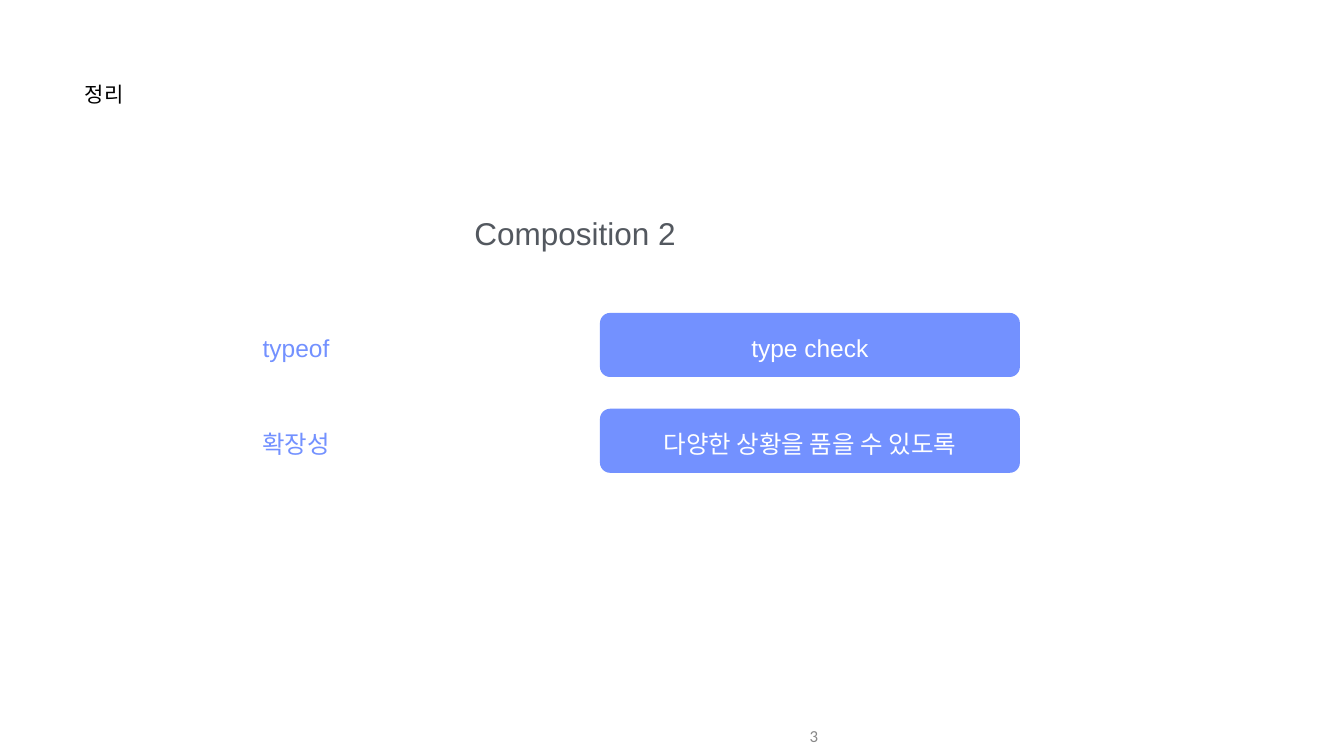
from pptx import Presentation
from pptx.dml.color import RGBColor as RGB
from pptx.enum.shapes import MSO_SHAPE as Shape
from pptx.enum.text import MSO_ANCHOR as Anchor, MSO_AUTO_SIZE as Auto, PP_ALIGN as Align
from pptx.util import Cm, Pt

COLORS = {"black": "000000", "gray": "53585F", "pale": "888888",
          "blue": "7391FF", "white": "FFFFFF"}


def place(shape, left, top, width, height):
    shape.left, shape.top = Cm(left), Cm(top)
    shape.width, shape.height = Cm(width), Cm(height)


def write(shape, text, size, color, align=Align.CENTER, anchor=Anchor.MIDDLE,
          font="Arial", inset=0.03):
    frame = shape.text_frame
    frame.word_wrap = True
    frame.auto_size = Auto.NONE
    frame.vertical_anchor = anchor
    frame.margin_left = frame.margin_right = Cm(inset)
    frame.margin_top = frame.margin_bottom = Cm(inset)
    frame.text = text
    par = frame.paragraphs[0]
    par.alignment = align
    par.font.name = font
    par.font.size = Pt(size)
    par.font.color.rgb = RGB.from_string(COLORS[color])


deck = Presentation()
deck.slide_width, deck.slide_height = Cm(67.72), Cm(38.1)
slide = deck.slides.add_slide(deck.slide_layouts[5])
shapes = slide.shapes

title = shapes.title
place(title, 4.24, 4.06, 12.34, 3)
write(title, "정리", 30, "black", Align.LEFT, Anchor.TOP)

topic = shapes.add_textbox(Cm(6.7), Cm(10.77), Cm(44.55), Cm(2))
write(topic, "Composition 2", 45, "gray", anchor=Anchor.TOP)

number = shapes.add_textbox(Cm(26.24), Cm(36.1), Cm(15.24), Cm(2))
write(number, "3", 24, "pale", Align.RIGHT, font="Calibri", inset=0.25)

rows = [("typeof", "type check"),
        ("확장성", "다양한 상황을 품을 수 있도록")]
for i, (term, note) in enumerate(rows):
    top = 15.77 + i * 4.83

    label = shapes.add_textbox(Cm(6.98), Cm(top + 0.97), Cm(15.88), Cm(1.57))
    write(label, term, 35, "blue")

    card = shapes.add_shape(Shape.ROUNDED_RECTANGLE,
                            Cm(30.23), Cm(top), Cm(21.16), Cm(3.23))
    card.adjustments[0] = 0.16
    card.shadow.inherit = False
    card.fill.solid()
    card.fill.fore_color.rgb = RGB.from_string(COLORS["blue"])
    card.line.fill.background()
    write(card, note, 35, "white")
    card.text_frame.margin_top = Cm(0.3)  # level with the label

deck.save("out.pptx")
